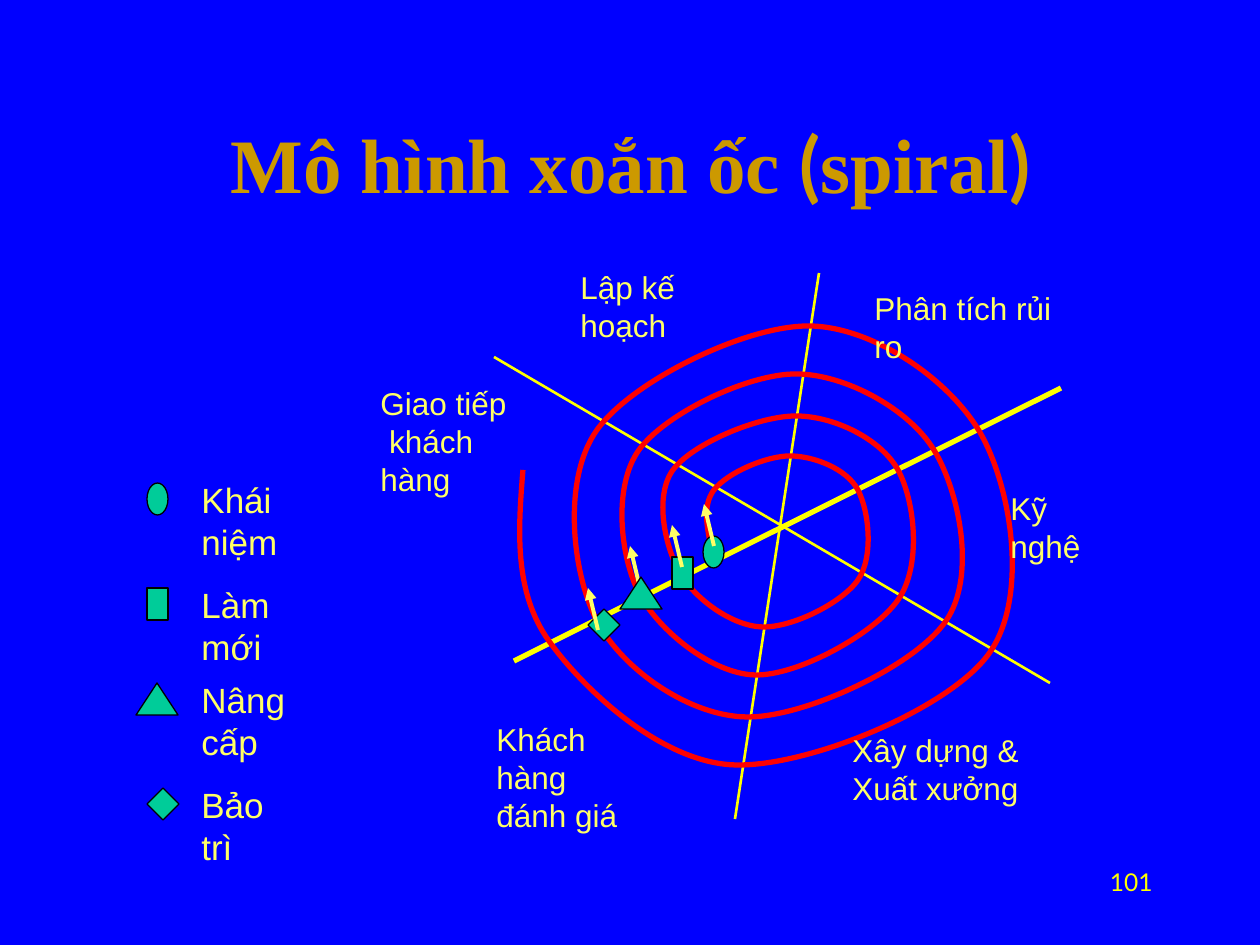
from lxml.etree import SubElement
from pptx import Presentation
from pptx.dml.color import RGBColor
from pptx.enum.shapes import MSO_CONNECTOR, MSO_SHAPE
from pptx.enum.text import MSO_ANCHOR, MSO_AUTO_SIZE, PP_ALIGN
from pptx.oxml.ns import qn
from pptx.util import Pt

SCALE = 914400 / 126
BLUE, GOLD, YELLOW, PALE = "0000FF", "CC9900", "FFFF00", "FFFF66"
GREEN, RED, BLACK = "00CC99", "FF0000", "000000"

TITLE_RUNS = [("Mô hình xoắn ốc", "Times New Roman"), (" (", "Lato"),
              ("spiral", "Times New Roman"), (")", "Lato")]
AXES = [(154, 401, 701, 128, 3), (134, 97, 690, 423, 1.5), (459, 13, 375, 559, 1.5)]
SPIRAL = [
    (354, 299), (354, 230), (430, 196), (498, 230), (498, 320), (402, 367),
    (320, 313), (313, 210), (436, 156), (538, 210), (538, 340), (395, 415),
    (279, 333), (279, 190), (436, 114), (574, 190), (586, 361), (388, 457),
    (237, 361), (237, 170), (450, 66), (622, 176), (628, 395), (375, 505),
    (189, 381), (163, 210)]
ACTIVITIES = [
    (8, 118, 195, 88, ["Giao tiếp", " khách hàng"]),
    (208, 2, 212, 50, ["Lập kế hoạch"]),
    (502, 23, 236, 50, ["Phân tích rủi ro"]),
    (638, 223, 139, 50, ["Kỹ nghệ"]),
    (480, 465, 200, 88, ["Xây dựng &", "Xuất xưởng"]),
    (124, 454, 192, 88, ["Khách hàng", "đánh giá"])]
ENTRY_ARROWS = [(354, 286), (322, 307), (280, 328), (238, 370)]
MARKER_HEIGHT = 32
MARKER_WIDTHS = {MSO_SHAPE.OVAL: 21, MSO_SHAPE.RECTANGLE: 21,
                 MSO_SHAPE.ISOSCELES_TRIANGLE: 42, MSO_SHAPE.DIAMOND: 32}
LEGEND = [
    (MSO_SHAPE.OVAL, 11, 0, "Khái niệm", 180),
    (MSO_SHAPE.RECTANGLE, 11, 105, "Làm mới", 161),
    (MSO_SHAPE.ISOSCELES_TRIANGLE, 0, 200, "Nâng cấp", 173),
    (MSO_SHAPE.DIAMOND, 11, 305, "Bảo trì", 127)]


def px(length):
    return round(length * SCALE)


def color(code):
    return RGBColor.from_string(code)


def add_label(slide, left, top, width, height, lines, size,
              font="Arial", tint=PALE, align=PP_ALIGN.LEFT):
    label = slide.shapes.add_textbox(px(left), px(top), px(width), px(height))
    frame = label.text_frame
    frame.word_wrap = True
    frame.text = "\n".join(lines)
    for paragraph in frame.paragraphs:
        paragraph.alignment = align
        paragraph.font.size = Pt(size)
        paragraph.font.name = font
        paragraph.font.color.rgb = color(tint)


def add_marker(slide, kind, left, top):
    marker = slide.shapes.add_shape(
        kind, px(left), px(top), px(MARKER_WIDTHS[kind]), px(MARKER_HEIGHT))
    marker.shadow.inherit = False
    marker.fill.solid()
    marker.fill.fore_color.rgb = color(GREEN)
    marker.line.color.rgb = color(BLACK)
    marker.line.width = Pt(0.75)


def add_line(slide, x1, y1, x2, y2, tint, weight, arrow=False):
    line = slide.shapes.add_connector(
        MSO_CONNECTOR.STRAIGHT, px(x1), px(y1), px(x2), px(y2))
    line.line.color.rgb = color(tint)
    line.line.width = Pt(weight)
    properties = line._element.spPr
    if arrow:
        SubElement(properties.find(qn("a:ln")), qn("a:tailEnd"), type="triangle")
    SubElement(properties, qn("a:effectLst"))


def midpoint(a, b):
    return (a[0] + b[0]) / 2, (a[1] + b[1]) / 2


def curve_points(nodes):
    tangents = [((after[0] - before[0]) / 6, (after[1] - before[1]) / 6)
                for before, after in zip(nodes, nodes[2:])]
    leaving = [(x + dx, y + dy) for (x, y), (dx, dy) in zip(nodes[1:], tangents)]
    arriving = [(x - dx, y - dy) for (x, y), (dx, dy) in zip(nodes[1:], tangents)]
    leaving.insert(0, midpoint(nodes[0], arriving[0]))
    arriving.append(midpoint(nodes[-1], leaving[-1]))
    return [point for segment in zip(leaving, arriving, nodes[1:]) for point in segment]


def add_spiral(slide, nodes):
    builder = slide.shapes.build_freeform(*nodes[0], scale=SCALE)
    builder.add_line_segments(curve_points(nodes), close=False)
    spiral = builder.convert_to_shape()
    spiral.shadow.inherit = False
    spiral.fill.background()
    spiral.line.color.rgb = color(RED)
    spiral.line.width = Pt(3)
    outline = next(spiral._element.iter(qn("a:path")))
    steps = outline.findall(qn("a:lnTo"))
    for start in range(0, len(steps), 3):
        curve = SubElement(outline, qn("a:cubicBezTo"))
        for step in steps[start:start + 3]:
            curve.append(step[0])
            outline.remove(step)


def build_title(slide, left, top, width, height):
    title = slide.shapes.title
    title.left, title.top, title.width, title.height = map(px, (left, top, width, height))
    frame = title.text_frame
    frame.vertical_anchor = MSO_ANCHOR.MIDDLE
    frame.auto_size = MSO_AUTO_SIZE.NONE
    heading = frame.paragraphs[0]
    heading.alignment = PP_ALIGN.CENTER
    heading.font.size = Pt(44)
    heading.font.bold = True
    heading.font.color.rgb = color(GOLD)
    for words, font in TITLE_RUNS:
        run = heading.add_run()
        run.text = words
        run.font.name = font


def build_spiral_model(slide, left, top):
    for x1, y1, x2, y2, weight in AXES:
        add_line(slide, left + x1, top + y1, left + x2, top + y2, YELLOW, weight)
    add_spiral(slide, [(left + x, top + y) for x, y in SPIRAL])
    add_marker(slide, MSO_SHAPE.OVAL, left + 343, top + 276)
    add_marker(slide, MSO_SHAPE.RECTANGLE, left + 312, top + 297)
    add_marker(slide, MSO_SHAPE.DIAMOND, left + 228, top + 349)
    for x, y, width, height, lines in ACTIVITIES:
        add_label(slide, left + x, top + y, width, height, lines, 18)
    for x, y in ENTRY_ARROWS:
        add_line(slide, left + x, top + y, left + x - 10, top + y - 42, PALE, 2.25, True)
    add_marker(slide, MSO_SHAPE.ISOSCELES_TRIANGLE, left + 260, top + 317)


def build_legend(slide, left, top):
    for kind, x, y, meaning, width in LEGEND:
        add_marker(slide, kind, left + x, top + y + 11)
        add_label(slide, left + 53, top + y, width, 55, [meaning], 20)


def main():
    deck = Presentation()
    deck.slide_width, deck.slide_height = px(1260), px(945)
    slide = deck.slides.add_slide(deck.slide_layouts[5])
    slide.background.fill.solid()
    slide.background.fill.fore_color.rgb = color(BLUE)
    build_title(slide, 95, 84, 1071, 158)
    build_spiral_model(slide, 360, 260)
    build_legend(slide, 136, 472)
    add_label(slide, 903, 861, 262, 63, ["101"], 14, "Lato", YELLOW, PP_ALIGN.RIGHT)
    deck.save("out.pptx")


if __name__ == "__main__":
    main()
